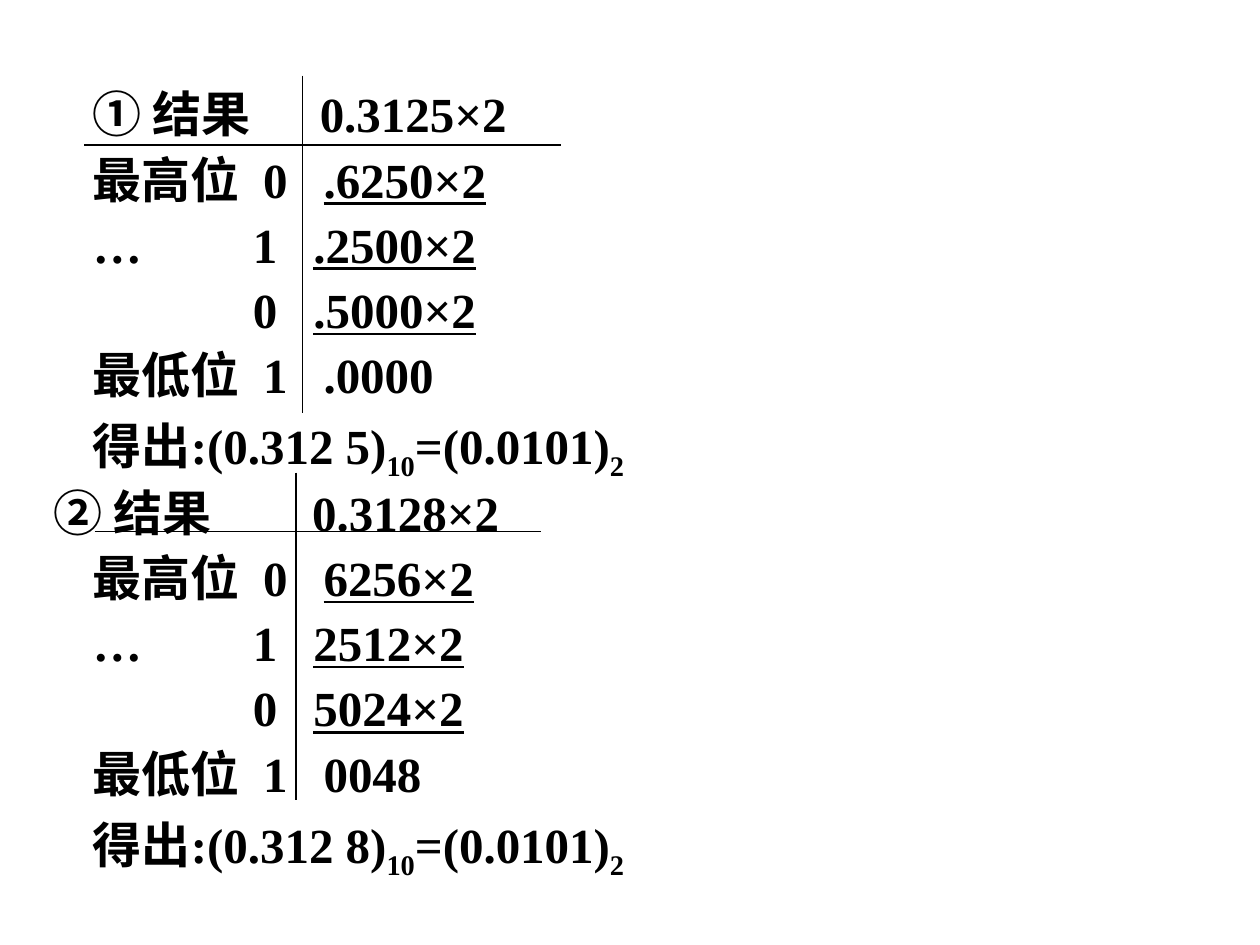
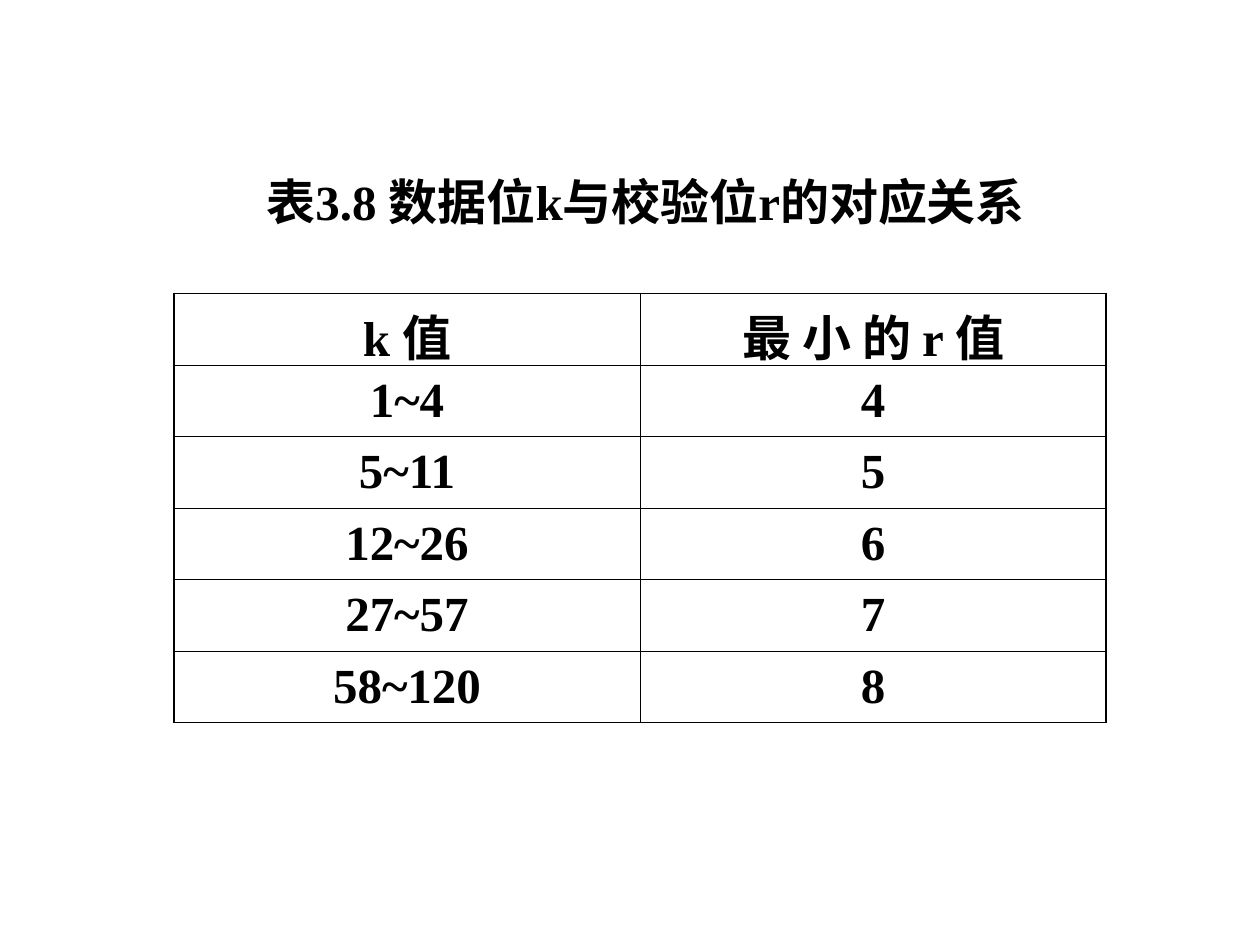
from dataclasses import dataclass
from typing import NamedTuple

from lxml.etree import SubElement
from pptx import Presentation
from pptx.dml.color import RGBColor
from pptx.enum.shapes import MSO_CONNECTOR as Connector
from pptx.enum.text import MSO_ANCHOR as Anchor, PP_ALIGN as Align
from pptx.oxml.ns import qn
from pptx.util import Inches, Pt


@dataclass(frozen=True)
class Theme:
    ink: RGBColor = RGBColor(0, 0, 0)
    typeface: str = "Times New Roman"
    body_size: float = 28
    rule_width: float = 0.75
    outer_border: float = 1.08
    inner_border: float = 0.45
    space_before: float = 7
    subscript: int = -25000


THEME = Theme()


class Span(NamedTuple):
    text: str
    underline: bool = False
    lowered: bool = False


class Para(NamedTuple):
    spans: list[Span]
    stops: tuple[float, ...] = ()


class Frame(NamedTuple):
    left: float
    top: float
    width: float
    height: float


class Rule(NamedTuple):
    start: tuple[float, float]
    end: tuple[float, float]


class BitRow(NamedTuple):
    label: str
    digit: str
    digit_stop: float


class Conversion(NamedTuple):
    heading: str
    heading_stops: tuple[float, ...]
    remainders: list[str]
    decimal: str


INDENT = 0.31
DIGIT_TO_REMAINDER = 0.48

BIT_ROWS = [
    BitRow("最高位", "0", 1.66),
    BitRow("…", "1", 1.58),
    BitRow("", "0", 1.58),
    BitRow("最低位", "1", 1.66),
]

CONVERSIONS = [
    Conversion("\t① 结果\t0.3125×2", (INDENT, 2.11),
               [".6250×2", ".2500×2", ".5000×2", ".0000"], "0.312 5"),
    Conversion("② 结果\t0.3128×2", (2.05,),
               ["6256×2", "2512×2", "5024×2", "0048"], "0.312 8"),
]

DIVISION_RULES = [
    Rule((0.67, 1.15), (4.45, 1.15)),
    Rule((2.4, 0.6), (2.4, 3.28)),
    Rule((0.75, 4.22), (4.29, 4.22)),
    Rule((2.35, 3.75), (2.35, 6.35)),
]

CHECK_BITS = [
    ("k 值", "最 小 的 r 值"),
    ("1~4", "4"),
    ("5~11", "5"),
    ("12~26", "6"),
    ("27~57", "7"),
    ("58~120", "8"),
]


def set_all(target, values: dict) -> None:
    for name, value in values.items():
        setattr(target, name, value)


def add_span(paragraph, span: Span) -> None:
    run = paragraph.add_run()
    run.text = span.text
    set_all(run.font, {
        "name": THEME.typeface,
        "size": Pt(THEME.body_size),
        "bold": True,
        "underline": span.underline,
    })
    run.font.color.rgb = THEME.ink
    if span.lowered:
        run._r.get_or_add_rPr().set("baseline", str(THEME.subscript))


def add_tab_stops(paragraph, stops: tuple[float, ...]) -> None:
    tab_list = SubElement(paragraph._p.get_or_add_pPr(), qn("a:tabLst"))
    for stop in stops:
        SubElement(tab_list, qn("a:tab"), pos=str(Inches(stop)), algn="l")


def add_text(page, frame: Frame, paras: list[Para], box_format: dict, para_format: dict) -> None:
    box = page.shapes.add_textbox(*map(Inches, frame))
    text_frame = box.text_frame
    set_all(text_frame, {"word_wrap": True, **box_format})
    for index, para in enumerate(paras):
        paragraph = text_frame.add_paragraph() if index else text_frame.paragraphs[0]
        set_all(paragraph, {"space_before": Pt(THEME.space_before if index else 0), **para_format})
        if para.stops:
            add_tab_stops(paragraph, para.stops)
        for span in para.spans:
            add_span(paragraph, span)


def add_rule(page, rule: Rule) -> None:
    line = page.shapes.add_connector(Connector.STRAIGHT, *map(Inches, rule.start + rule.end))
    line.line.color.rgb = THEME.ink
    line.line.width = Pt(THEME.rule_width)
    SubElement(line._element.spPr, qn("a:effectLst"))


def add_borders(cell, outer_sides: dict[str, bool]) -> None:
    properties = cell._tc.get_or_add_tcPr()
    for side, is_outer in outer_sides.items():
        width = THEME.outer_border if is_outer else THEME.inner_border
        border = SubElement(properties, qn(f"a:ln{side}"), w=str(Pt(width)))
        fill = SubElement(border, qn("a:solidFill"))
        SubElement(fill, qn("a:srgbClr"), val=str(THEME.ink))


def add_grid(page, frame: Frame, rows: list[tuple[str, ...]]) -> None:
    row_count, column_count = len(rows), len(rows[0])
    table = page.shapes.add_table(row_count, column_count, *map(Inches, frame)).table
    set_all(table, {"first_row": False, "horz_banding": False})
    for row_index, texts in enumerate(rows):
        for column_index, text in enumerate(texts):
            cell = table.cell(row_index, column_index)
            cell.vertical_anchor = Anchor.MIDDLE
            add_borders(cell, {
                "L": column_index == 0,
                "R": column_index == column_count - 1,
                "T": row_index == 0,
                "B": row_index == row_count - 1,
            })
            cell.fill.background()
            paragraph = cell.text_frame.paragraphs[0]
            paragraph.alignment = Align.CENTER
            add_span(paragraph, Span(text))


def conversion_paras(conversion: Conversion) -> list[Para]:
    paras = [Para([Span(conversion.heading)], conversion.heading_stops)]
    for row, remainder in zip(BIT_ROWS, conversion.remainders):
        paras.append(Para(
            [Span(f"\t{row.label}\t{row.digit}\t"), Span(remainder, underline="×" in remainder)],
            (INDENT, row.digit_stop, row.digit_stop + DIGIT_TO_REMAINDER),
        ))
    paras.append(Para([
        Span(f"\t得出:({conversion.decimal})"),
        Span("10", lowered=True),
        Span("=(0.0101)"),
        Span("2", lowered=True),
    ], (INDENT,)))
    return paras


def build_conversion_page(page) -> None:
    paras = [para for conversion in CONVERSIONS for para in conversion_paras(conversion)]
    add_text(page, Frame(0.33, 0.67, 9.17, 6.42), paras, {}, {"line_spacing": 0.9})
    for rule in DIVISION_RULES:
        add_rule(page, rule)


def build_check_bit_page(page) -> None:
    title = Para([Span("表3.8 数据位k与校验位r的对应关系")])
    add_text(page, Frame(0.59, 1.31, 9.17, 0.64), [title],
             {"margin_right": Inches(0.2)}, {"alignment": Align.CENTER})
    add_grid(page, Frame(1.38, 2.33, 7.4, 3.4), CHECK_BITS)


def main() -> None:
    deck = Presentation()
    set_all(deck, {"slide_width": Inches(10), "slide_height": Inches(7.5)})
    for build_page in (build_conversion_page, build_check_bit_page):
        build_page(deck.slides.add_slide(deck.slide_layouts[6]))
    deck.save("out.pptx")


if __name__ == "__main__":
    main()
